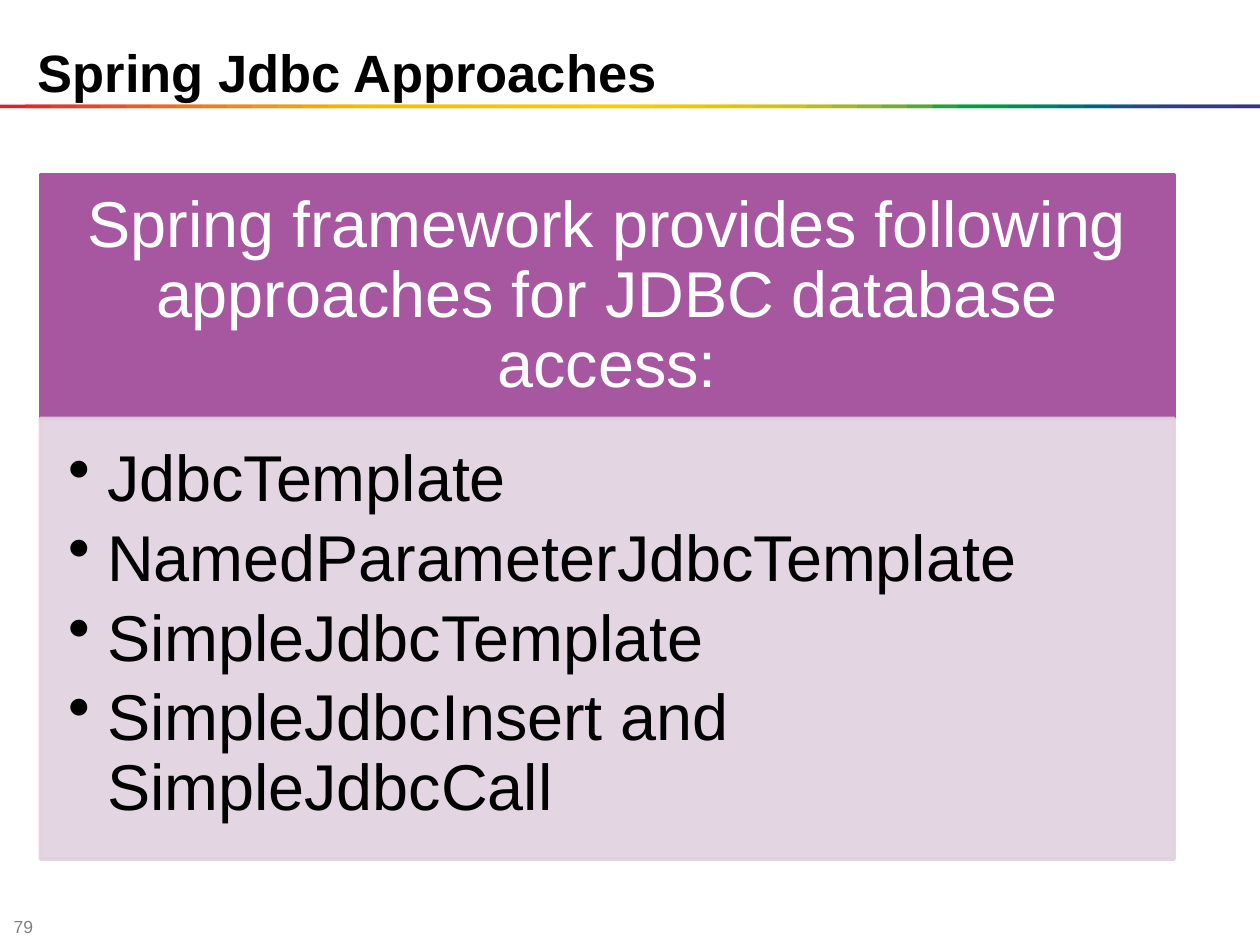
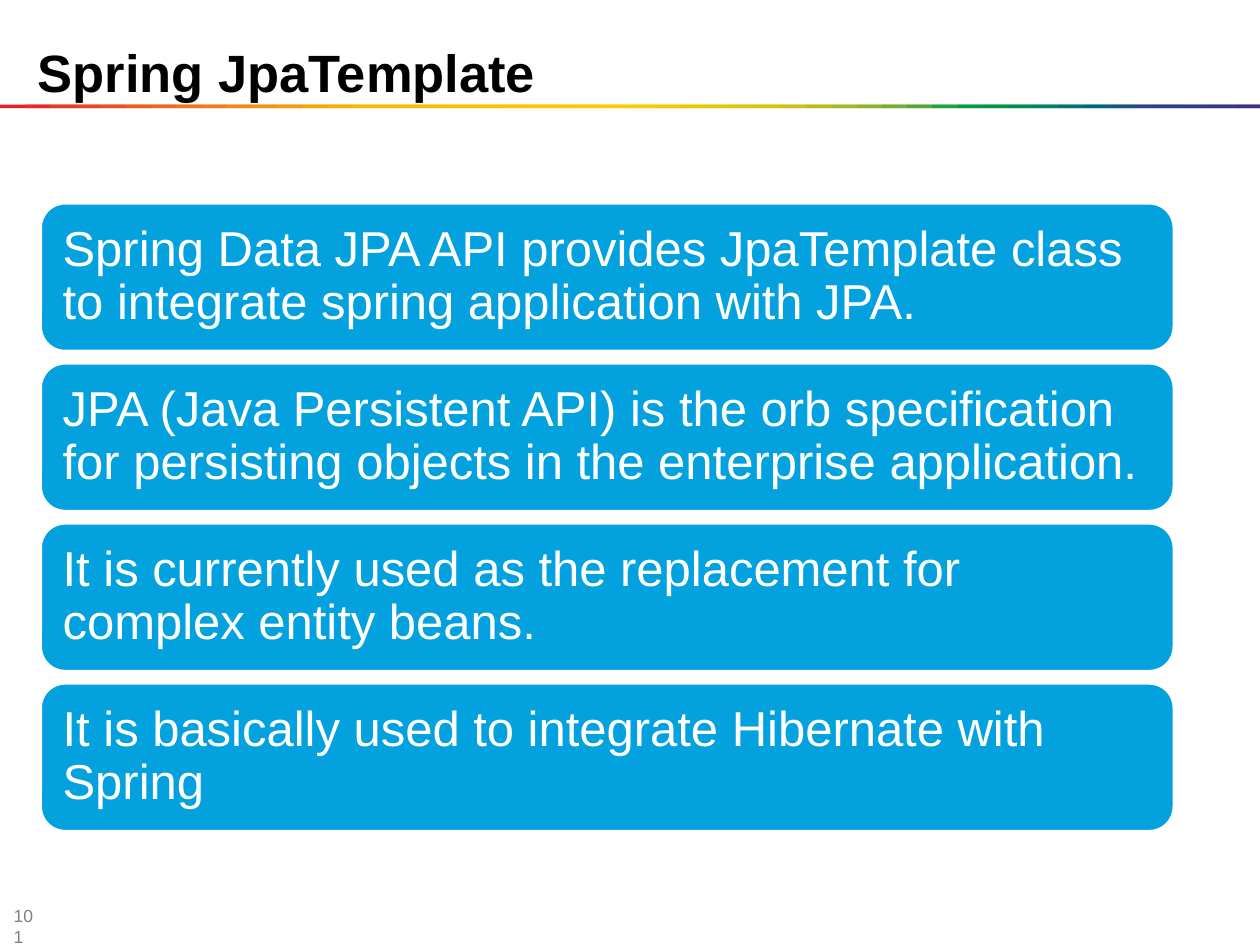
"""Build two slides on database access with a shared title, stripe and number."""
import pptx
import pptx.dml.color
import pptx.enum.shapes
import pptx.enum.text
import pptx.oxml.ns
import pptx.util
from lxml import etree

Inches = pptx.util.Inches
Pt = pptx.util.Pt
ALIGN = pptx.enum.text.PP_ALIGN
ANCHOR = pptx.enum.text.MSO_ANCHOR
FORM = pptx.enum.shapes.MSO_SHAPE

COLORS = {
    "black": "000000", "white": "FFFFFF", "gray": "808080",
    "purple": "A757A0", "lilac": "E1D1DF", "blue": "03A2DF",
}
STRIPE = """
    E31E24 E42C24 E53A24 E74623 E85122 EA5D21 EC691F EE741D EF7E1A F18817
    F39314 F49C0F F6A607 F8B002 FBBA00 FBBB00 FBBD00 FCBF00 FCC000 FCC200
    FDC400 FDC600 FDC700 FEC900 FECB00 FBCB00 F3CA00 ECC800 E4C602 DCC50A
    D5C30E CCC117 B8BC21 A3B829 8CB230 71AD36 51A73B 1DA240 009D43 009846
    008C57 008068 007275 00637F 185384 2E4285 313E85 333B85 353885 393185
""".split()
WIDE, HIGH, STEP = 10, 7.5, 0.2
LEFT, SPAN = 0.32, 9

TITLE = {"size": Pt(30), "bold": True}
NUMBER = {"size": Pt(10), "bold": False}
LARGE = {"size": Pt(37), "bold": False}
BODY = {"size": Pt(28), "bold": False}

TOOLS = [
    "JdbcTemplate",
    "NamedParameterJdbcTemplate",
    "SimpleJdbcTemplate",
    "SimpleJdbcInsert and SimpleJdbcCall",
]
FACTS = [
    "Spring Data JPA API provides JpaTemplate class to integrate spring application with JPA.",
    "JPA (Java Persistent API) is the orb specification for persisting objects in the enterprise application.",
    "It is currently used as the replacement for complex entity beans.",
    "It is basically used to integrate Hibernate with Spring",
]


def put(item, **values):
    for name, value in values.items():
        setattr(item, name, value)


def paint(color, code):
    color.rgb = pptx.dml.color.RGBColor.from_string(code)


def fade(color_format, percent):
    for clr in color_format.iter(pptx.oxml.ns.qn("a:srgbClr")):
        etree.SubElement(clr, pptx.oxml.ns.qn("a:alpha"), val=str(percent * 1000))


def write(frame, lines, font, color, insets=None, anchor=ANCHOR.MIDDLE, **para):
    put(frame, word_wrap=True, vertical_anchor=anchor,
        auto_size=pptx.enum.text.MSO_AUTO_SIZE.NONE)
    if insets:
        sides = ("margin_left", "margin_top", "margin_right", "margin_bottom")
        put(frame, **dict(zip(sides, map(Inches, insets))))
    for index, line in enumerate(lines):
        part = frame.add_paragraph() if index else frame.paragraphs[0]
        put(part, **{"alignment": ALIGN.LEFT, **para})
        run = part.add_run()
        run.text = line
        put(run.font, name="Arial", **font)
        paint(run.font.color, COLORS[color])


def bullet(part, indent):
    props = part._p.get_or_add_pPr()
    props.set("marL", str(Inches(indent)))
    props.set("indent", str(-Inches(indent)))
    etree.SubElement(props, pptx.oxml.ns.qn("a:buChar"), char="•")


def block(slide, form, box, fill, line=None):
    shape = slide.shapes.add_shape(form, *map(Inches, box))
    shape.shadow.inherit = False
    shape.fill.solid()
    paint(shape.fill.fore_color, fill)
    if line:
        paint(shape.line.color, line)
        shape.line.width = Pt(2)
    else:
        shape.line.fill.background()
    return shape


def start(deck, title, number):
    slide = deck.slides.add_slide(deck.slide_layouts[5])
    for index, code in enumerate(STRIPE):
        left = index * STEP
        wide = min(2 * STEP, WIDE - left)
        block(slide, FORM.RECTANGLE, (left, 0.83, wide, 0.03), code)
    head = slide.shapes.title
    put(head, left=Inches(0.2), top=Inches(0.26), width=Inches(9), height=Inches(0.61))
    write(head.text_frame, [title], TITLE, "black", anchor=ANCHOR.BOTTOM)
    foot = slide.shapes.add_textbox(*map(Inches, (0.01, 7.27, 0.39, 0.16)))
    write(foot.text_frame, [number], NUMBER, "gray")
    return slide


def panel(slide):
    purple, lilac = COLORS["purple"], COLORS["lilac"]
    head = block(slide, FORM.RECTANGLE, (LEFT, 1.39, SPAN, 1.93), purple, purple)
    write(head.text_frame,
          ["Spring framework provides following approaches for JDBC database access:"],
          LARGE, "white", (0.29, 0.16, 0.29, 0.16),
          alignment=ALIGN.CENTER, line_spacing=0.9)
    body = block(slide, FORM.RECTANGLE, (LEFT, 3.32, SPAN, 3.5), lilac, lilac)
    fade(body._element.spPr, 90)
    write(body.text_frame, TOOLS, LARGE, "black", (0.22, 0.22, 0.29, 0.32), ANCHOR.TOP,
          level=1, line_spacing=0.9, space_after=Pt(5.5))
    for part in body.text_frame.paragraphs:
        bullet(part, 0.31)


def stack(slide):
    for index, fact in enumerate(FACTS):
        box = (LEFT, 1.61 + index * 1.27, SPAN, 1.18)
        card = block(slide, FORM.ROUNDED_RECTANGLE, box, COLORS["blue"], COLORS["white"])
        write(card.text_frame, [fact], BODY, "white", (0.12,) * 4, line_spacing=0.9)


def main():
    deck = pptx.Presentation()
    put(deck, slide_width=Inches(WIDE), slide_height=Inches(HIGH))
    panel(start(deck, "Spring Jdbc Approaches", "79"))
    stack(start(deck, "Spring JpaTemplate", "101"))
    deck.save("out.pptx")


if __name__ == "__main__":
    main()
